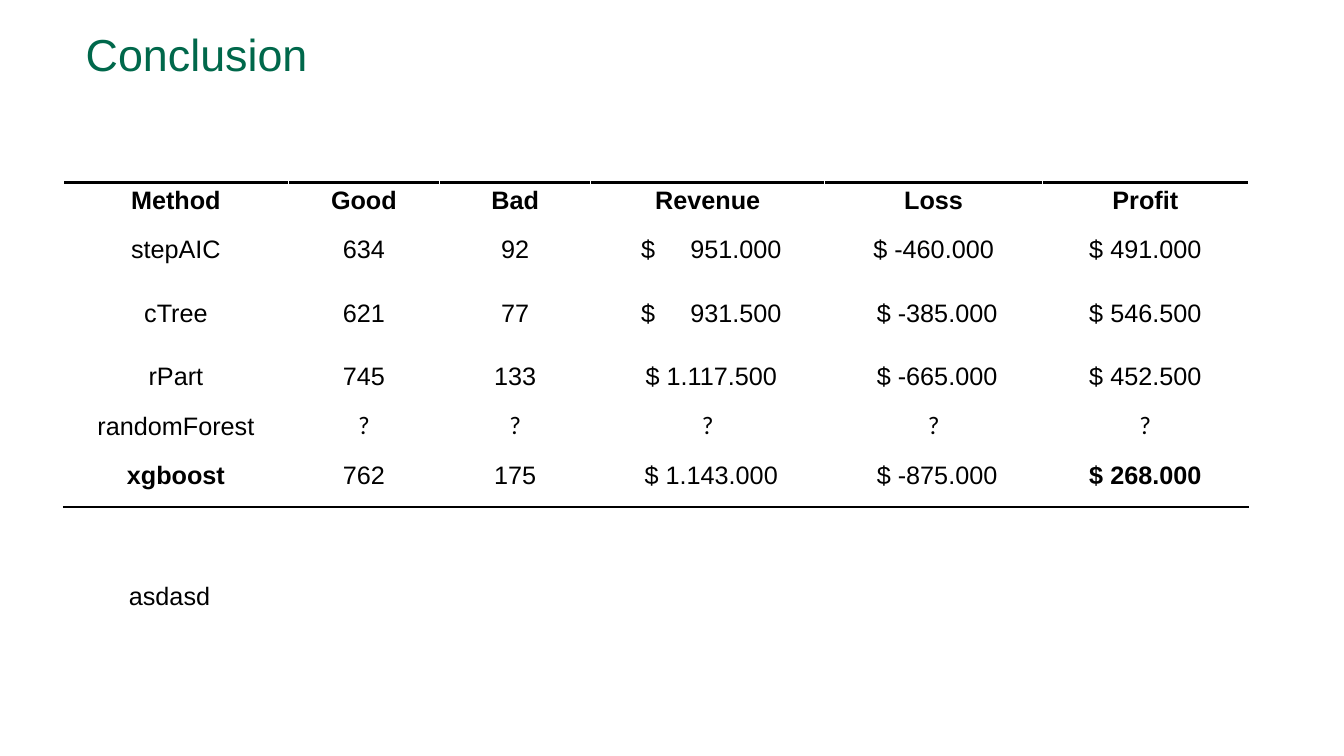
from pptx import Presentation
from pptx import util as u
from pptx.dml import color
from pptx.enum import text
from pptx.oxml import parse_xml
from pptx.oxml import ns

COLUMN_WIDTHS = [2.23, 1.5, 1.5, 2.32, 2.16, 2.04]
ROW_HEIGHTS = [0.35, 0.63, 0.63, 0.63, 0.35, 0.63]
RESULTS = [
    ["Method", "Good", "Bad", "Revenue", "Loss", "Profit"],
    ["stepAIC", "634", "92", " $ 951.000", " $ -460.000 ", " $ 491.000 "],
    ["cTree", "621", "77", " $ 931.500", " $ -385.000", " $ 546.500 "],
    ["rPart", "745", "133", " $ 1.117.500", " $ -665.000", " $ 452.500 "],
    ["randomForest"] + ["?"] * 5,
    ["xgboost", "762", "175", " $ 1.143.000", " $ -875.000", " $ 268.000 "],
]
LAST = len(RESULTS) - 1
BOLD_CELLS = {(0, column) for column in range(6)} | {(LAST, 0), (LAST, 5)}
WIDE_GAP_CELLS = {(1, 3), (2, 3)}


def rgb(value):
    return color.RGBColor.from_string(value)


def apply(target, values):
    for name, value in values.items():
        setattr(target, name, value)


class SlideBuilder:
    black = "000000"
    white = "FFFFFF"
    green = "00684B"
    font = "Arial"
    missing_font = "Calibri"
    cell_format = {
        "margin_left": u.Inches(0.01),
        "margin_right": u.Inches(0.01),
        "margin_top": u.Inches(0.01),
        "margin_bottom": 0,
        "vertical_anchor": text.MSO_ANCHOR.MIDDLE,
    }

    def __init__(self, slide):
        self.slide = slide

    def add_run(self, paragraph, wording, size=18, fill=black, name=font, bold=False):
        run = paragraph.add_run()
        run.text = wording
        apply(run.font, {"size": u.Pt(size), "name": name, "bold": bold})
        run.font.color.rgb = rgb(fill)
        return run

    def title(self, wording, left, top, width, height):
        shape = self.slide.shapes.title
        apply(shape, {"left": u.Inches(left), "top": u.Inches(top),
                      "width": u.Inches(width), "height": u.Inches(height)})
        apply(shape.text_frame, {
            "margin_left": 0, "margin_right": 0, "margin_top": 0, "margin_bottom": 0,
            "vertical_anchor": text.MSO_ANCHOR.TOP, "word_wrap": True,
        })
        paragraph = shape.text_frame.paragraphs[0]
        apply(paragraph, {"alignment": text.PP_ALIGN.LEFT, "line_spacing": 0.9})
        self.add_run(paragraph, wording, size=32, fill=self.green)

    def text_box(self, wording, left, top, width, height):
        shape = self.slide.shapes.add_textbox(
            u.Inches(left), u.Inches(top), u.Inches(width), u.Inches(height))
        apply(shape.text_frame, {
            "word_wrap": True, "auto_size": text.MSO_AUTO_SIZE.SHAPE_TO_FIT_TEXT})
        self.add_run(shape.text_frame.paragraphs[0], wording)

    def rule(self, cell, side):
        cell._tc.get_or_add_tcPr().insert(0, parse_xml(
            f'<a:{side} {ns.nsdecls("a")} w="{u.Pt(2)}"><a:solidFill>'
            f'<a:srgbClr val="{self.black}"/></a:solidFill></a:{side}>'))

    def cell(self, cell, wording, bold, wide_gap):
        apply(cell, self.cell_format)
        cell.fill.solid()
        cell.fill.fore_color.rgb = rgb(self.white)
        paragraph = cell.text_frame.paragraphs[0]
        paragraph.alignment = text.PP_ALIGN.CENTER
        name = self.missing_font if wording == "?" else self.font
        if wide_gap:
            currency, amount = wording.rsplit(" ", 1)
            self.add_run(paragraph, currency)
            gap = self.add_run(paragraph, " ")
            gap.font._element.set("spc", "2000")
            wording = amount
        self.add_run(paragraph, wording, name=name, bold=bold)

    def table(self, rows, left, top, widths, heights):
        table = self.slide.shapes.add_table(
            len(rows), len(widths), u.Inches(left), u.Inches(top),
            u.Inches(sum(widths)), u.Inches(sum(heights))).table
        apply(table, {"first_row": False, "horz_banding": False})
        for column, width in zip(table.columns, widths):
            column.width = u.Inches(width)
        for row, height in zip(table.rows, heights):
            row.height = u.Inches(height)
        for row, wordings in enumerate(rows):
            for column, wording in enumerate(wordings):
                place = (row, column)
                cell = table.cell(row, column)
                self.cell(cell, wording, place in BOLD_CELLS, place in WIDE_GAP_CELLS)
                if row == 0:
                    self.rule(cell, "lnT")
                if row == len(rows) - 1:
                    self.rule(cell, "lnB")


def main():
    presentation = Presentation()
    apply(presentation, {"slide_width": u.Inches(13.33), "slide_height": u.Inches(7.5)})
    slide = presentation.slides.add_slide(presentation.slide_layouts[5])
    builder = SlideBuilder(slide)
    builder.title("Conclusion", 0.85, 0.33, 9.27, 1.03)
    builder.table(RESULTS, 0.63, 1.81, COLUMN_WIDTHS, ROW_HEIGHTS)
    builder.text_box("asdasd", 1.18, 5.71, 10.12, 0.4)
    presentation.save("out.pptx")


if __name__ == "__main__":
    main()
